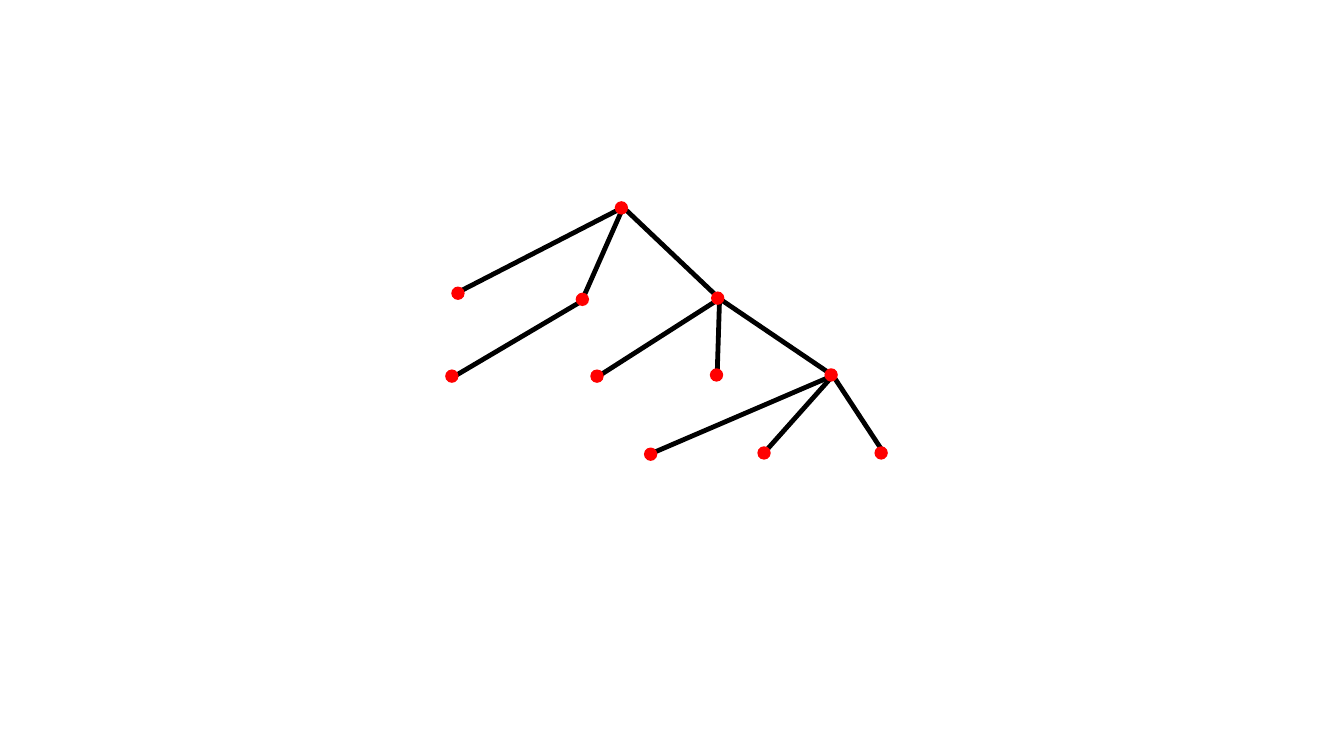
import pptx
import pptx.util
import pptx.dml.color
import pptx.enum.shapes
import lxml.etree

Inches = pptx.util.Inches
RED = pptx.dml.color.RGBColor(0xFF, 0x00, 0x00)
BLACK = pptx.dml.color.RGBColor(0x00, 0x00, 0x00)
SIZE = 0.11

# name: (dot left, dot top, joint x, joint y)
NODES = {
    "root": (5.04, 1.65, 5.11, 1.70),
    "left": (3.70, 2.35, 3.75, 2.40),
    "mid": (4.72, 2.40, 4.77, 2.47),
    "right": (5.83, 2.39, 5.90, 2.45),
    "mid leaf": (3.65, 3.03, 3.72, 3.09),
    "right 1": (4.84, 3.03, 4.90, 3.09),
    "right 2": (5.82, 3.02, 5.88, 3.09),
    "right 3": (6.76, 3.02, 6.83, 3.08),
    "low 1": (5.28, 3.67, 5.34, 3.72),
    "low 2": (6.21, 3.66, 6.26, 3.72),
    "low 3": (7.17, 3.66, 7.25, 3.72),
}
TREE = {
    "root": ["left", "mid", "right"],
    "mid": ["mid leaf"],
    "right": ["right 1", "right 2", "right 3"],
    "right 3": ["low 1", "low 2", "low 3"],
}


def add_edge(shapes, top, end):
    ends = [Inches(v) for v in NODES[top][2:] + NODES[end][2:]]
    edge = shapes.add_connector(pptx.enum.shapes.MSO_CONNECTOR.STRAIGHT, *ends)
    edge.line.color.rgb = BLACK
    edge.line.width = pptx.util.Pt(2.83)
    props = edge._element.spPr
    lxml.etree.SubElement(props, pptx.oxml.ns.qn("a:effectLst"))


def add_dot(shapes, left, top):
    dot = shapes.add_shape(
        pptx.enum.shapes.MSO_SHAPE.OVAL,
        Inches(left), Inches(top), Inches(SIZE), Inches(SIZE),
    )
    dot.shadow.inherit = False
    dot.fill.solid()
    dot.fill.fore_color.rgb = RED
    dot.line.fill.background()


def main():
    deck = pptx.Presentation()
    deck.slide_width = Inches(11.02)
    deck.slide_height = Inches(6.2)
    slide = deck.slides.add_slide(deck.slide_layouts[6])
    for top, ends in TREE.items():
        for end in ends:
            add_edge(slide.shapes, top, end)
    for left, top, _, _ in NODES.values():
        add_dot(slide.shapes, left, top)
    deck.save("out.pptx")


if __name__ == "__main__":
    main()
